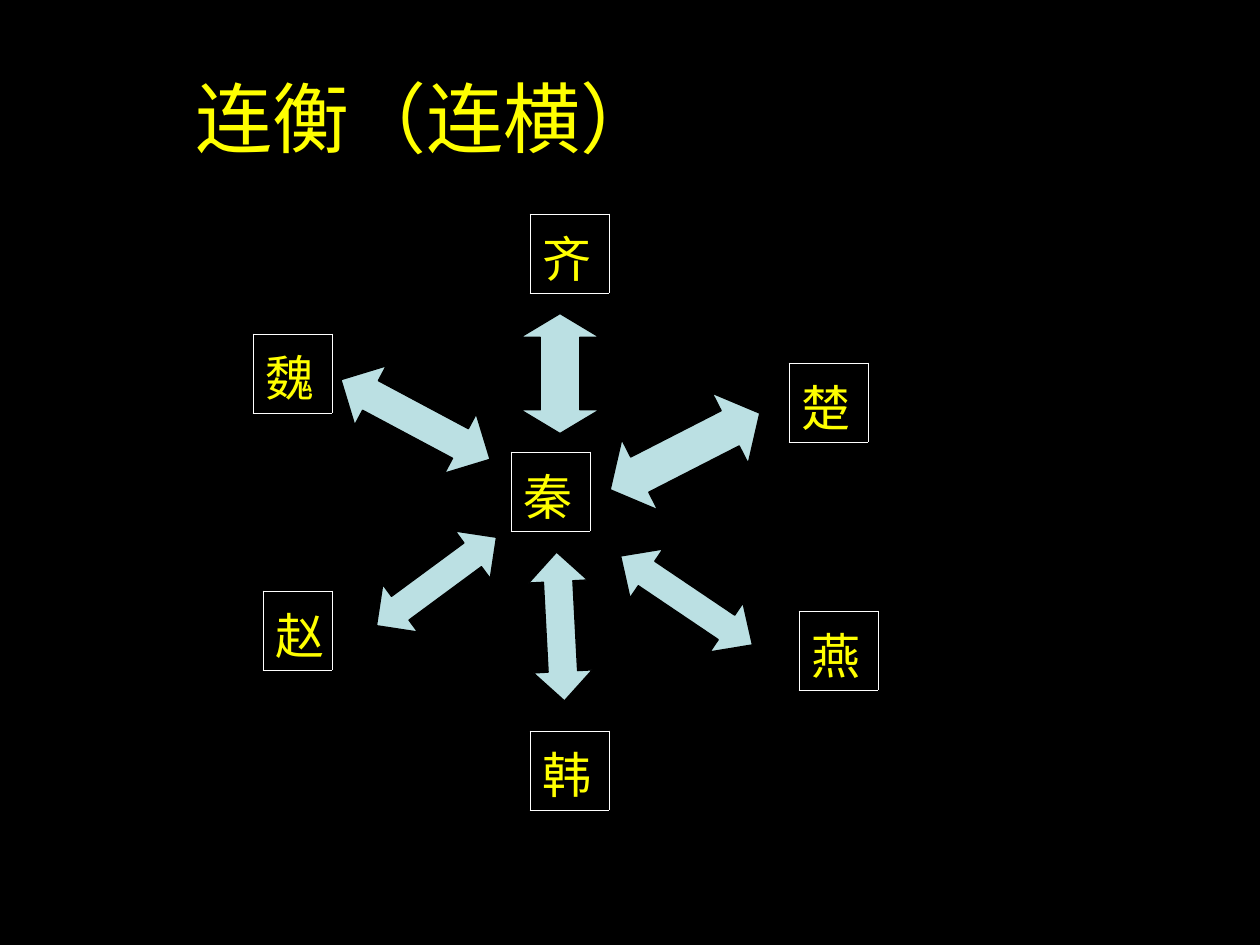
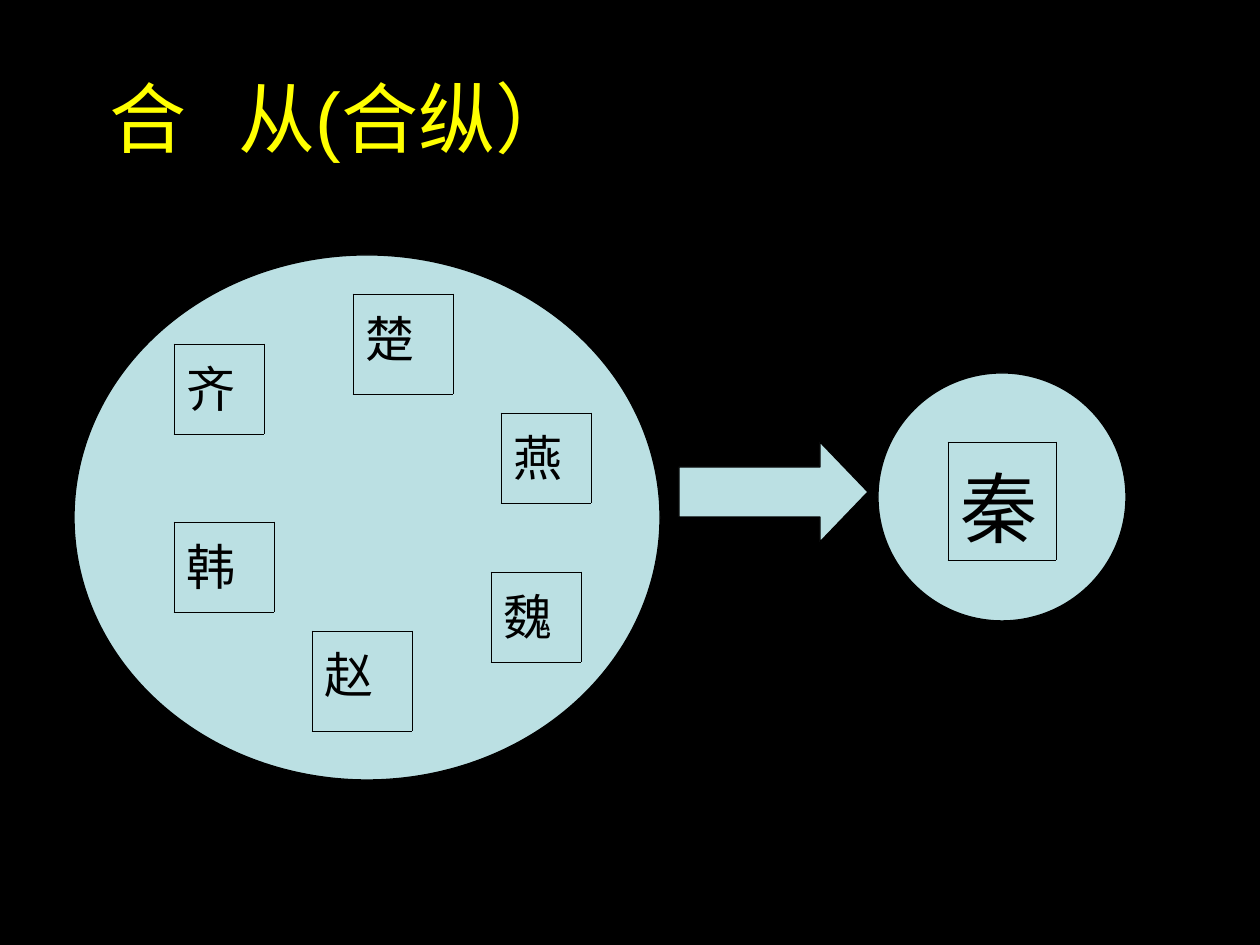
"""Build two slides on the alliances of the Warring States."""
from dataclasses import dataclass

from lxml.etree import SubElement
from pptx import Presentation
from pptx.dml.color import RGBColor
from pptx.enum.lang import MSO_LANGUAGE_ID as Lang
from pptx.enum.shapes import MSO_SHAPE as Shape
from pptx.enum.text import MSO_ANCHOR as Anchor
from pptx.oxml import parse_xml
from pptx.oxml.ns import nsdecls, qn
from pptx.slide import Slide
from pptx.util import Emu, Pt

PX = 914400 / 126
COLORS = {"night": "000000", "title": "FFFF00", "pale": "BBE0E3", "frame": "FFFFFF"}
TEXT_FORMAT = {"name": "Arial", "bold": False, "language_id": Lang.SIMPLIFIED_CHINESE}
PLAIN_TABLE = {"first_row": False, "horz_banding": False}
TITLE_BOX = {"left": 63, "top": 38, "width": 1134, "height": 157}


@dataclass(frozen=True)
class State:
    """A framed state name, in px."""
    name: str
    left: int
    top: int
    width: int = 79
    height: int = 79
    size: int = 28


@dataclass(frozen=True)
class Figure:
    """A pale preset shape, in px and degrees."""
    kind: Shape
    left: int
    top: int
    width: int
    height: int
    turn: float = 0
    adjust: tuple[float, ...] = ()


def px(length: int) -> Emu:
    """Turn px into EMU."""
    return Emu(round(length * PX))


def rgb(color: str) -> RGBColor:
    """Look up a named colour."""
    return RGBColor.from_string(COLORS[color])


def set_all(target: object, values: dict) -> None:
    """Set every attribute in the dict."""
    for key, value in values.items():
        setattr(target, key, value)


def write(paragraph, words: str, size: int, color: str) -> None:
    """Write one formatted run."""
    run = paragraph.add_run()
    run.text = words
    set_all(run.font, TEXT_FORMAT | {"size": Pt(size)})
    run.font.color.rgb = rgb(color)


def start_slide(deck: Presentation, title: str, indent: int, tab: int = 0) -> Slide:
    """Add a dark slide with its indented title."""
    slide = deck.slides.add_slide(deck.slide_layouts[6])
    slide.background.fill.solid()
    slide.background.fill.fore_color.rgb = rgb("night")
    heading = slide.shapes.add_textbox(*map(px, TITLE_BOX.values())).text_frame
    set_all(heading, {"word_wrap": True, "vertical_anchor": Anchor.MIDDLE,
                      "margin_left": px(indent)})
    paragraph = heading.paragraphs[0]
    if tab:
        stops = SubElement(paragraph._p.get_or_add_pPr(), qn("a:tabLst"))
        SubElement(stops, qn("a:tab"), pos=str(px(tab)), algn="l")
    write(paragraph, title, 44, "title")
    return slide


def draw_state(slide: Slide, state: State, text: str, border: str) -> None:
    """Draw a state name as a one-cell table."""
    table = slide.shapes.add_table(
        1, 1, px(state.left), px(state.top), px(state.width), px(state.height)).table
    set_all(table, PLAIN_TABLE)
    cell = table.cell(0, 0)
    cell.fill.background()
    for place, side in enumerate("LRTB"):
        cell._tc.get_or_add_tcPr().insert(place, parse_xml(
            f'<a:ln{side} {nsdecls("a")} w="{Pt(0.45)}"><a:solidFill>'
            f'<a:srgbClr val="{COLORS[border]}"/></a:solidFill></a:ln{side}>'))
    write(cell.text_frame.paragraphs[0], state.name, state.size, text)


def draw_figure(slide: Slide, figure: Figure) -> None:
    """Draw a pale arrow or circle."""
    shape = slide.shapes.add_shape(
        figure.kind, px(figure.left), px(figure.top), px(figure.width), px(figure.height))
    shape.shadow.inherit = False
    shape.rotation = figure.turn
    for place, value in enumerate(figure.adjust):
        shape.adjustments[place] = value
    shape.fill.solid()
    shape.fill.fore_color.rgb = rgb("pale")
    shape.line.color.rgb = rgb("night")
    shape.line.width = Pt(0.75)


HORIZONTAL_STATES = [
    State("秦", 511, 452), State("齐", 530, 214), State("楚", 789, 363),
    State("燕", 799, 611), State("魏", 253, 334), State("赵", 263, 591, width=69),
    State("韩", 530, 731),
]
DOUBLE = Shape.LEFT_RIGHT_ARROW
TIES = [
    Figure(DOUBLE, 331, 386, 169, 67, 28.1, (0.5, 0.5)),
    Figure(DOUBLE, 500, 334, 120, 79, 270, (0.5, 0.3)),
    Figure(DOUBLE, 601, 412, 168, 79, 332.9, (0.5, 0.42)),
    Figure(DOUBLE, 362, 552, 149, 59, 323.6, (0.5, 0.5)),
    Figure(DOUBLE, 486, 597, 149, 59, 87, (0.5, 0.5)),
    Figure(DOUBLE, 607, 571, 159, 59, 34, (0.5, 0.53)),
]
ALLIANCE = Figure(Shape.OVAL, 74, 255, 586, 525)
ALLIES = [
    State("齐", 174, 344, 90, 90), State("楚", 353, 294, 100, 100),
    State("燕", 501, 413, 90, 90), State("韩", 174, 522, 100, 90),
    State("赵", 312, 631, 100, 100), State("魏", 491, 572, 90, 90),
]
RIVAL_CIRCLE = Figure(Shape.OVAL, 878, 373, 248, 248)
RIVAL = State("秦", 948, 442, 108, 118, 44)
ATTACK = Figure(Shape.RIGHT_ARROW, 679, 442, 189, 100, adjust=(0.5, 0.48))


def main() -> None:
    """Build and save the deck."""
    deck = Presentation()
    set_all(deck, {"slide_width": px(1260), "slide_height": px(945)})

    horizontal = start_slide(deck, "连衡（连横）", 133)
    for state in HORIZONTAL_STATES:
        draw_state(horizontal, state, "title", "frame")
    for tie in TIES:
        draw_figure(horizontal, tie)

    vertical = start_slide(deck, "合\t从(合纵）", 47, tab=129)
    draw_figure(vertical, ALLIANCE)
    for ally in ALLIES:
        draw_state(vertical, ally, "night", "night")
    draw_figure(vertical, RIVAL_CIRCLE)
    draw_state(vertical, RIVAL, "night", "night")
    draw_figure(vertical, ATTACK)

    deck.save("out.pptx")


if __name__ == "__main__":
    main()
